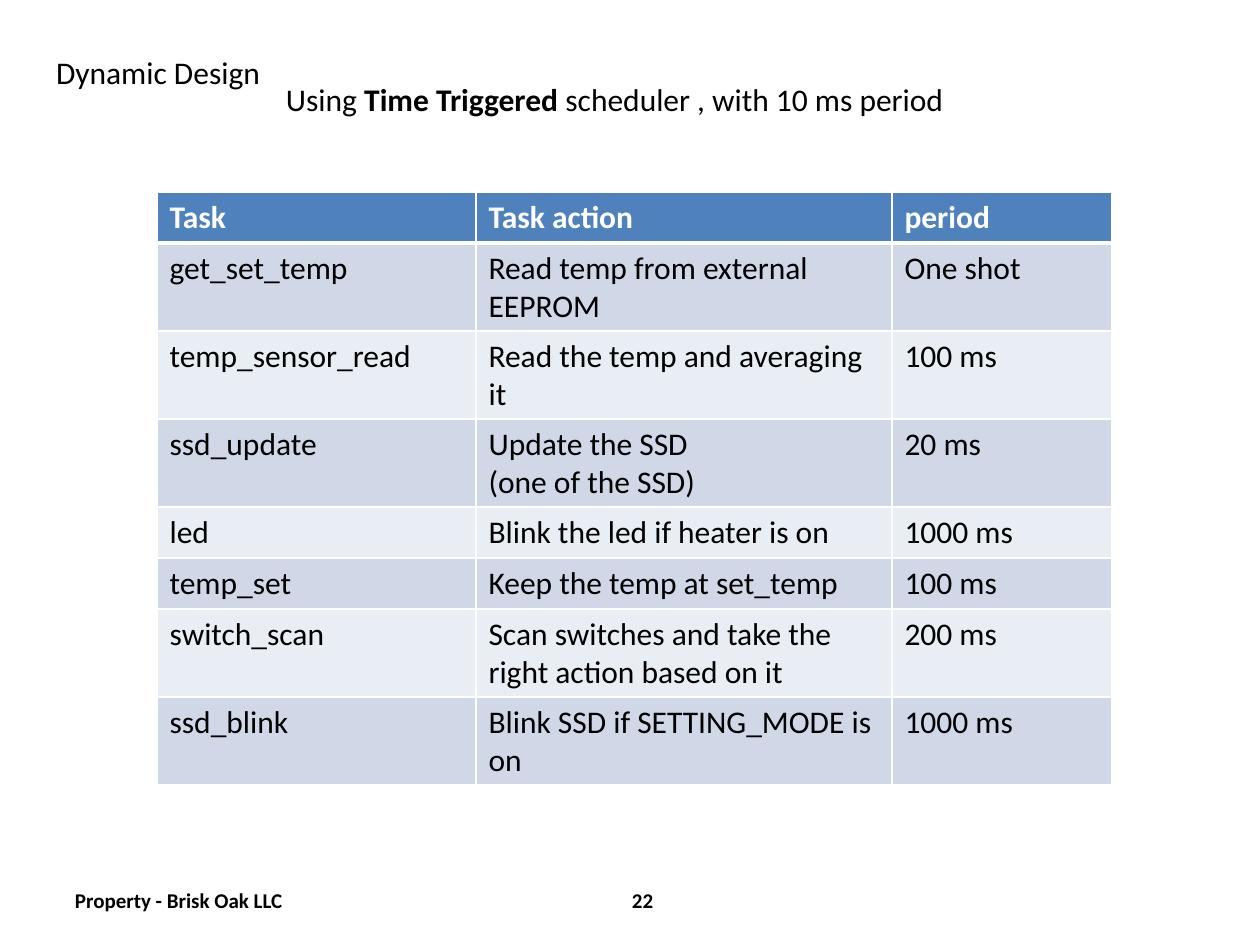
from dataclasses import dataclass

from lxml.etree import SubElement
from pptx import Presentation
from pptx.dml.color import RGBColor
from pptx.enum.text import MSO_ANCHOR, MSO_AUTO_SIZE, PP_ALIGN
from pptx.oxml.ns import qn
from pptx.util import Emu, Pt

PIXEL = 914400 // 126


@dataclass(frozen=True)
class Theme:
    """Hold the colours, font and type sizes of the deck."""
    font: str = "Calibri"
    body_size: int = 18
    footer_size: int = 12
    footer_leading: float = 12.4
    text: str = "000000"
    paper: str = "FFFFFF"
    header: str = "4F81BD"
    bands: tuple = ("D0D8E8", "E9EDF4")
    thin: int = 1
    thick: int = 3


THEME = Theme()
COLUMNS = (319, 416, 220)
SINGLE_ROW, DOUBLE_ROW = 51, 88
TASKS = (
    (SINGLE_ROW, "Task", "Task action", "period"),
    (DOUBLE_ROW, "get_set_temp", "Read temp from external EEPROM", "One shot"),
    (DOUBLE_ROW, "temp_sensor_read", "Read the temp and averaging it", "100 ms"),
    (DOUBLE_ROW, "ssd_update", "Update the SSD\n(one of the SSD)", "20 ms"),
    (SINGLE_ROW, "led", "Blink the led if heater is on", "1000 ms"),
    (SINGLE_ROW, "temp_set", "Keep the temp at set_temp", "100 ms"),
    (DOUBLE_ROW, "switch_scan",
     "Scan switches and take the right action based on it", "200 ms"),
    (DOUBLE_ROW, "ssd_blink", "Blink SSD if SETTING_MODE is on", "1000 ms"),
)


def px(length):
    """Turn pixels into EMU."""
    return Emu(length * PIXEL)


def style(para, size, color, bold=False):
    """Set the font of a whole paragraph."""
    font = para.font
    font.name, font.size = THEME.font, Pt(size)
    font.color.rgb = RGBColor.from_string(color)
    font.bold = bold
    para.alignment = PP_ALIGN.LEFT


def fill_text(shape, pieces, size, bold=False):
    """Write one margin-free paragraph from (text, bold) pieces."""
    frame = shape.text_frame
    frame.margin_left = frame.margin_right = 0
    frame.margin_top = frame.margin_bottom = 0
    frame.vertical_anchor = MSO_ANCHOR.TOP
    frame.auto_size = MSO_AUTO_SIZE.NONE
    frame.word_wrap = True
    para = frame.paragraphs[0]
    style(para, size, THEME.text, bold)
    para.space_before = Pt(1)
    for text, strong in pieces:
        span = para.add_run()
        span.text = text
        if strong:
            span.font.bold = True
    return para


def add_heading(page, left, top):
    """Place the slide title and the scheduler line beside it."""
    title = page.shapes.title
    title.left, title.top = px(left), px(top)
    title.width, title.height = px(466), px(87)
    fill_text(title, [("Dynamic Design", False)], THEME.body_size)
    box = page.shapes.add_textbox(px(left + 230), px(top + 27), px(692), px(40))
    pieces = [("Using ", False), ("Time Triggered ", True),
              ("scheduler , with 10 ms period", False)]
    fill_text(box, pieces, THEME.body_size)


def set_borders(cell, top, bottom):
    """Draw the four cell borders in the paper colour."""
    properties = cell._tc.get_or_add_tcPr()
    widths = {"lnL": THEME.thin, "lnR": THEME.thin, "lnT": top, "lnB": bottom}
    for tag, width in widths.items():
        line = SubElement(properties, qn(f"a:{tag}"), w=str(Pt(width)))
        solid = SubElement(line, qn("a:solidFill"))
        SubElement(solid, qn("a:srgbClr"), val=THEME.paper)


def add_task_table(page, left, top):
    """Place the table of scheduled tasks."""
    height = sum(task[0] for task in TASKS)
    frame = page.shapes.add_table(len(TASKS), len(COLUMNS), px(left), px(top),
                                  px(sum(COLUMNS)), px(height))
    table = frame.table
    for column, width in zip(table.columns, COLUMNS):
        column.width = px(width)
    for index, (row_height, *texts) in enumerate(TASKS):
        table.rows[index].height = px(row_height)
        is_header = index == 0
        fill = THEME.header if is_header else THEME.bands[(index - 1) % 2]
        color = THEME.paper if is_header else THEME.text
        for cell, text in zip(table.rows[index].cells, texts):
            set_borders(cell, THEME.thick if index == 1 else THEME.thin,
                        THEME.thick if is_header else THEME.thin)
            cell.margin_bottom = px(4)
            cell.fill.solid()
            cell.fill.fore_color.rgb = RGBColor.from_string(fill)
            cell.text = text
            for para in cell.text_frame.paragraphs:
                style(para, THEME.body_size, color, is_header)


def add_footer(page, left, top):
    """Place the owner line and the page number."""
    for offset, width, text in ((0, 300, "Property - Brisk Oak LLC"), (557, 32, "22")):
        box = page.shapes.add_textbox(px(left + offset), px(top), px(width), px(24))
        para = fill_text(box, [(text, False)], THEME.footer_size, True)
        para.space_before = Pt(0)
        para.line_spacing = Pt(THEME.footer_leading)


def main():
    """Build and save the deck."""
    deck = Presentation()
    deck.slide_width, deck.slide_height = px(1260), px(945)
    page = deck.slides.add_slide(deck.slide_layouts[5])
    add_heading(page, 56, 53)
    add_task_table(page, 157, 192)
    add_footer(page, 75, 891)
    deck.save("out.pptx")


main()
